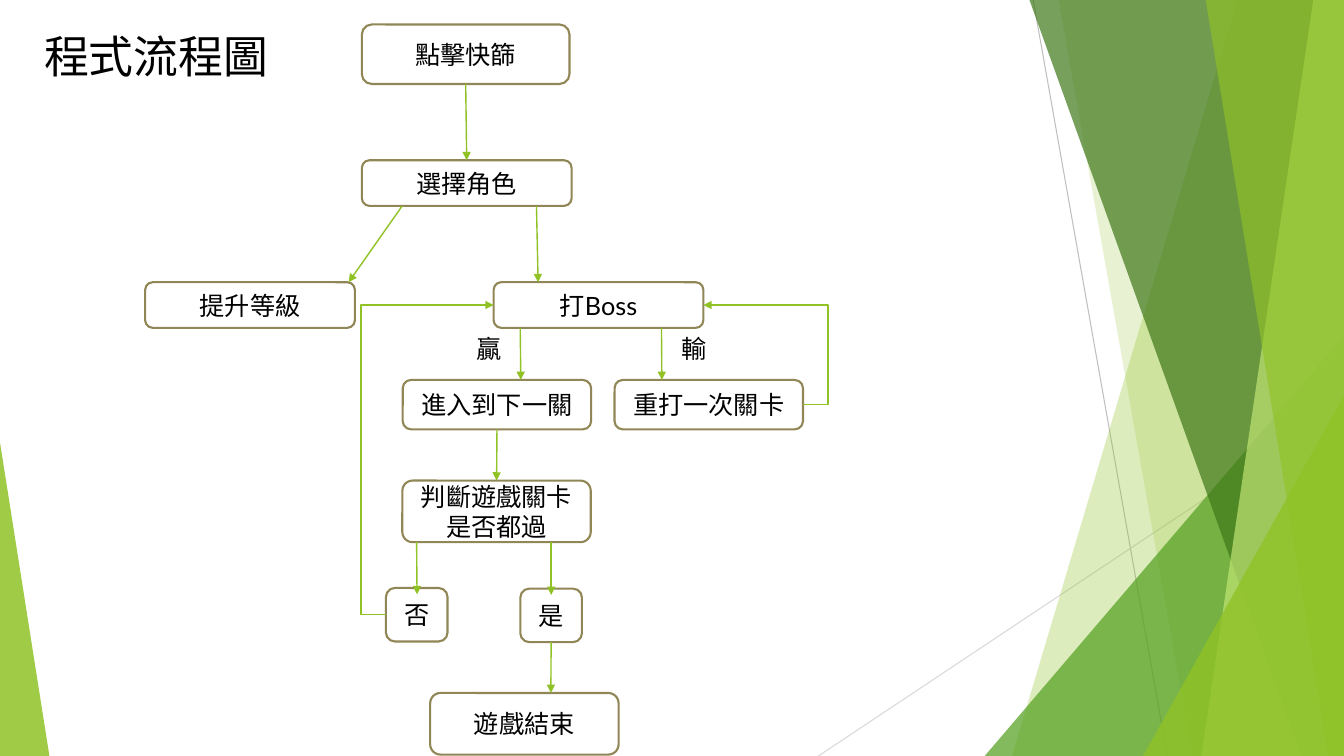
import pptx
import pptx.util
import pptx.dml.color
import pptx.enum.shapes
import pptx.enum.text
import pptx.oxml
import pptx.oxml.ns
from dataclasses import dataclass

Pt = pptx.util.Pt
SHAPE = pptx.enum.shapes.MSO_SHAPE
CONNECTOR = pptx.enum.shapes.MSO_CONNECTOR
TOP, BOTTOM = 0, 2
WIDTH, HEIGHT = 960, 540


@dataclass(frozen=True)
class Theme:
    font: str = "Lato"
    body: int = 18
    title: int = 32
    text: str = "000000"
    box: str = "FFFFFF"
    border: str = "918655"
    green: str = "90C226"
    mid_green: str = "54A021"
    dark_green: str = "3F7819"
    pale_green: str = "C0E474"
    gray: str = "BFBFBF"
    light_gray: str = "D9D9D9"
    border_width: float = 1.5
    arrow_width: float = 1
    ray_width: float = 0.75


THEME = Theme()

# Rays: x1, y1, x2, y2, colour
RAYS = [
    (738, 0, 833.8, HEIGHT, THEME.gray),
    (WIDTH, 290.2, 584.6, HEIGHT, THEME.light_gray),
]
# Facets run to the right edge: top-left x, bottom-left x, colour, opacity %
# Triangles stand on the bottom edge: left, top, width, apex, colour, opacity %
DECORATION = [
    ("facet", 884.2, 722.9, THEME.green, 30),
    ("facet", 756, 851.8, THEME.green, 20),
    ("triangle", 703.4, 239.8, 256.6, 1, THEME.mid_green, 72),
    ("facet", 735.1, 929.5, THEME.dark_green, 70),
    ("facet", 938.2, 858.2, THEME.pale_green, 70),
    ("facet", 861.1, 949, THEME.green, 65),
    ("triangle", 816.5, 283, 143.5, 1, THEME.green, 80),
    ("triangle", 0, 316.1, 35.3, 0, THEME.green, 85),
]

# Box sizes: width, height
START, CHOICE, STAGE = (148.3, 42.5), (149.8, 32.6), (134.6, 35.3)
DECISION, ANSWER = (134.6, 44), (44, 38.2)
# Steps: text, left, top, size
STEPS = {
    "start": ("點擊快篩", 258.5, 17.5, START),
    "role": ("選擇角色", 258.5, 114.5, CHOICE),
    "level": ("提升等級", 103.7, 201.6, CHOICE),
    "boss": ("打Boss", 352.6, 201.6, CHOICE),
    "next": ("進入到下一關", 287.7, 271.4, STAGE),
    "retry": ("重打一次關卡", 439, 271.4, STAGE),
    "check": ("判斷遊戲關卡是否都過", 287.4, 343.3, DECISION),
    "no": ("否", 275.7, 420, ANSWER),
    "yes": ("是", 371.7, 420.5, ANSWER),
    "end": ("遊戲結束", 307.3, 495, DECISION),
}
# Arrows: from, to, x at each end (None joins the side's middle), reach into the box
ARROWS = [
    ("start", "role", None, None, 0),
    ("role", "level", 287.3, 249, 0),
    ("role", "boss", 383.2, 384.4, 0),
    ("boss", "next", 371.6, 372, 0),
    ("boss", "retry", 472.5, 472.8, 0),
    ("next", "check", None, None, 0),
    ("check", "no", 297.6, 297.9, 4.5),
    ("check", "yes", 393.7, 393.7, 4.5),
    ("yes", "end", None, 393.5, 0),
]
# Loops back to a box: from, to, side left, side entered, detour beyond the start
LOOPS = [
    ("retry", "boss", "right", "right", 18),
    ("no", "boss", "left", "left", -18),
]
# Labels: text, left, top, width, height, type size
LABELS = [
    ("贏", 333.4, 234.7, 38, 29, THEME.body),
    ("輸", 479.5, 234.7, 38, 29, THEME.body),
    ("程式流程圖", 24.5, 17.3, 204.5, 46, THEME.title),
]


def rgb(value):
    return pptx.dml.color.RGBColor.from_string(value)


def write(shape, text, size, alignment):
    frame = shape.text_frame
    frame.word_wrap = True
    frame.text = text
    paragraph = frame.paragraphs[0]
    paragraph.alignment = alignment
    for run in paragraph.runs:
        run.font.name = THEME.font
        run.font.size = Pt(size)
        run.font.color.rgb = rgb(THEME.text)


def fill_translucent(shape, color, opacity):
    shape.shadow.inherit = False
    shape.line.fill.background()
    shape.fill.solid()
    shape.fill.fore_color.rgb = rgb(color)
    color_element = shape._element.spPr.find(".//" + pptx.oxml.ns.qn("a:srgbClr"))
    alpha = pptx.oxml.parse_xml(
        f'<a:alpha {pptx.oxml.ns.nsdecls("a")} val="{opacity * 1000}"/>')
    color_element.append(alpha)


def add_facet(slide, top_x, bottom_x, color, opacity):
    builder = slide.shapes.build_freeform(Pt(top_x), Pt(-0.7))
    corners = [(WIDTH, -0.7), (WIDTH, HEIGHT), (bottom_x, HEIGHT)]
    builder.add_line_segments([(Pt(x), Pt(y)) for x, y in corners], close=True)
    fill_translucent(builder.convert_to_shape(), color, opacity)


def add_triangle(slide, left, top, width, apex, color, opacity):
    shape = slide.shapes.add_shape(
        SHAPE.ISOSCELES_TRIANGLE, Pt(left), Pt(top), Pt(width), Pt(HEIGHT - top))
    shape.adjustments[0] = apex
    fill_translucent(shape, color, opacity)


def add_line(slide, kind, ends, color, width, arrow=False):
    connector = slide.shapes.add_connector(kind, *[Pt(value) for value in ends])
    connector.line.color.rgb = rgb(color)
    connector.line.width = Pt(width)
    namespace = pptx.oxml.ns.nsdecls("a")
    properties = connector._element.spPr
    if arrow:
        properties.find(pptx.oxml.ns.qn("a:ln")).append(
            pptx.oxml.parse_xml(f'<a:tailEnd {namespace} type="triangle"/>'))
    properties.append(pptx.oxml.parse_xml(f"<a:effectLst {namespace}/>"))
    return connector


def add_step(slide, text, left, top, size):
    shape = slide.shapes.add_shape(
        SHAPE.ROUNDED_RECTANGLE, Pt(left), Pt(top), Pt(size[0]), Pt(size[1]))
    shape.shadow.inherit = False
    shape.fill.solid()
    shape.fill.fore_color.rgb = rgb(THEME.box)
    shape.line.color.rgb = rgb(THEME.border)
    shape.line.width = Pt(THEME.border_width)
    shape.text_frame.vertical_anchor = pptx.enum.text.MSO_ANCHOR.MIDDLE
    write(shape, text, THEME.body, pptx.enum.text.PP_ALIGN.CENTER)
    return shape


def add_arrow(slide, boxes, source, target, x1, x2, reach):
    begin, end = boxes[source], boxes[target]
    ends = (x1 or 0, begin.top.pt + begin.height.pt, x2 or 0, end.top.pt + reach)
    connector = add_line(
        slide, CONNECTOR.STRAIGHT, ends, THEME.green, THEME.arrow_width, arrow=True)
    if x1 is None:
        connector.begin_connect(begin, BOTTOM)
    if x2 is None:
        connector.end_connect(end, TOP)


def side_middle(shape, side):
    x = shape.left.pt + (shape.width.pt if side == "right" else 0)
    return x, shape.top.pt + shape.height.pt / 2


def add_loop(slide, boxes, source, target, exit_side, entry_side, detour):
    begin = side_middle(boxes[source], exit_side)
    end = side_middle(boxes[target], entry_side)
    connector = add_line(
        slide, CONNECTOR.ELBOW, begin + end, THEME.green, THEME.arrow_width, arrow=True)
    bend = round(detour / (end[0] - begin[0]) * 100000)
    geometry = connector._element.spPr.find(pptx.oxml.ns.qn("a:prstGeom"))
    geometry.get_or_add_avLst().append(pptx.oxml.parse_xml(
        f'<a:gd {pptx.oxml.ns.nsdecls("a")} name="adj1" fmla="val {bend}"/>'))


def main():
    presentation = pptx.Presentation()
    presentation.slide_width, presentation.slide_height = Pt(WIDTH), Pt(HEIGHT)
    slide = presentation.slides.add_slide(presentation.slide_layouts[6])
    for *ends, color in RAYS:
        add_line(slide, CONNECTOR.STRAIGHT, ends, color, THEME.ray_width)
    for kind, *values in DECORATION:
        (add_facet if kind == "facet" else add_triangle)(slide, *values)
    boxes = {name: add_step(slide, *step) for name, step in STEPS.items()}
    for arrow in ARROWS:
        add_arrow(slide, boxes, *arrow)
    for loop in LOOPS:
        add_loop(slide, boxes, *loop)
    for text, left, top, width, height, size in LABELS:
        label = slide.shapes.add_textbox(Pt(left), Pt(top), Pt(width), Pt(height))
        write(label, text, size, pptx.enum.text.PP_ALIGN.LEFT)
    presentation.save("out.pptx")


if __name__ == "__main__":
    main()
